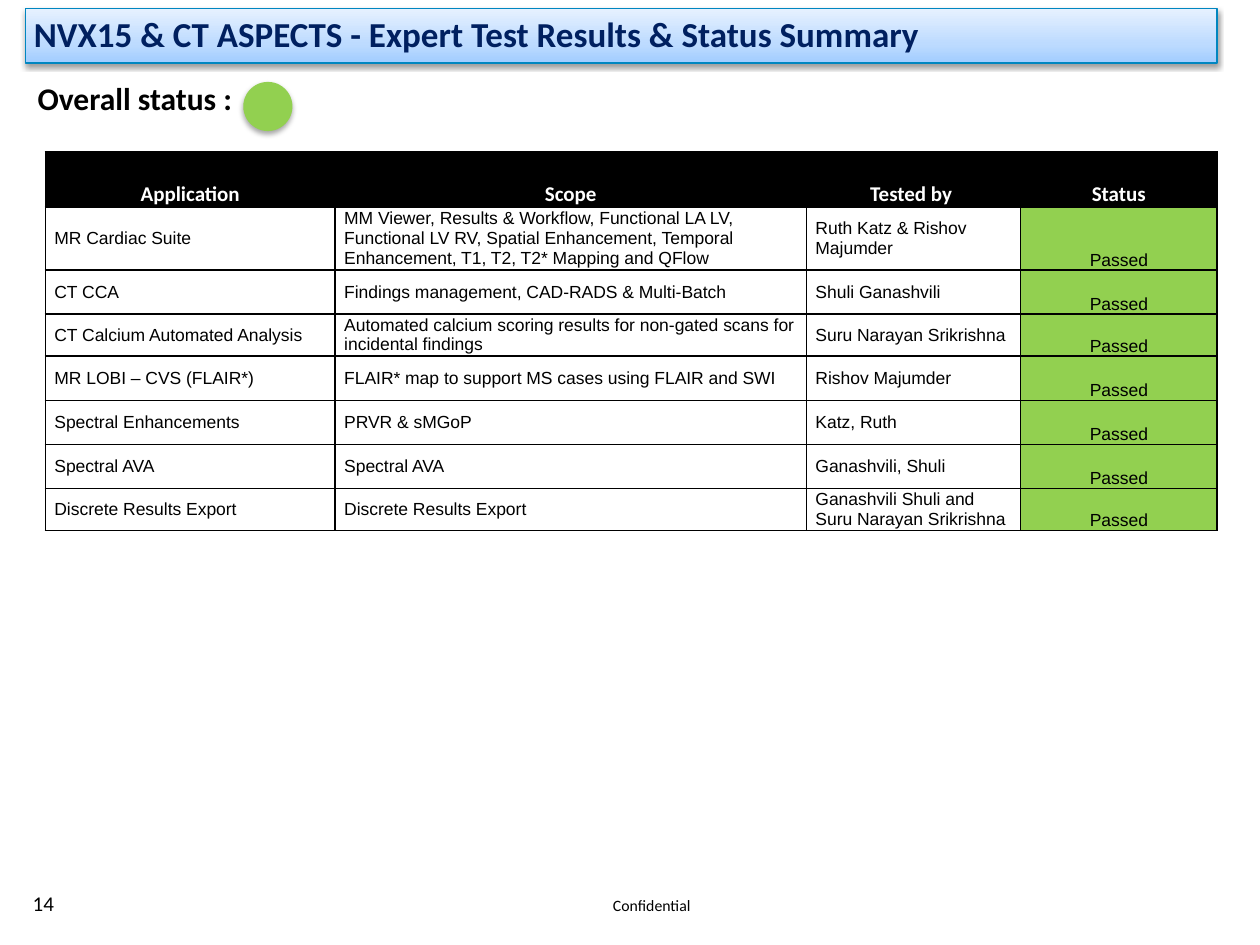
"""Build the expert test results and status summary slide."""
from copy import deepcopy

from pptx import Presentation
from pptx import util as u
from pptx import oxml as ox
from pptx.dml import color as c
from pptx.enum import shapes as sh, text as t
from pptx.oxml import ns

HUES = {"black": "000000", "white": "FFFFFF", "navy": "002060",
        "edge": "0086C0", "pass": "92D050",
        "low": "A2CDFF", "mid": "BDDBFF", "high": "E6F1FF"}
HEAD = ("Application", "Scope", "Tested by ", "Status")
TESTS = (
    ("MR Cardiac Suite", "MM Viewer, Results & Workflow, Functional LA LV, "
     "Functional LV RV, Spatial Enhancement, Temporal Enhancement, "
     "T1, T2, T2* Mapping and QFlow", "Ruth Katz & Rishov Majumder"),
    ("CT CCA", "Findings management, CAD-RADS & Multi-Batch",
     "Shuli Ganashvili"),
    ("CT Calcium Automated Analysis", "Automated calcium scoring results "
     "for non-gated scans for incidental findings", "Suru Narayan Srikrishna"),
    ("MR LOBI – CVS (FLAIR*)",
     "FLAIR* map to support MS cases using FLAIR and SWI", "Rishov Majumder"),
    ("Spectral Enhancements", "PRVR & sMGoP", "Katz, Ruth"),
    ("Spectral AVA", "Spectral AVA", "Ganashvili, Shuli"),
    ("Discrete Results Export", "Discrete Results Export",
     "Ganashvili Shuli and Suru Narayan Srikrishna"),
)
WIDTHS = (165.6, 269.3, 122.4, 112.3)
HEIGHTS = (31.5, 36, 25.2, 24, 25.2, 25.2, 25.2, 24)
MID, LOW = t.MSO_ANCHOR.MIDDLE, t.MSO_ANCHOR.BOTTOM
MID_CELL = {"vertical_anchor": MID}
LOW_CELL = {"vertical_anchor": LOW}
MID_PAR = {"alignment": t.PP_ALIGN.LEFT}
LOW_PAR = {"alignment": t.PP_ALIGN.CENTER, "line_spacing": 1.5}
BODY = {"name": "Arial", "size": u.Pt(10), "bold": False}
TOP = {"name": "Calibri", "size": u.Pt(12), "bold": True}


def put(obj, vals):
    """Set each named value on an object."""
    for key, val in vals.items():
        setattr(obj, key, val)


def rgb(hue):
    """Return the colour with the given name."""
    return c.RGBColor.from_string(HUES[hue])


def pad(obj, *gaps):
    """Set left, top, right and bottom margins in points."""
    for side, gap in zip(("left", "top", "right", "bottom"), gaps):
        setattr(obj, "margin_" + side, u.Pt(gap))


def write(frame, words, font, hue="black", par=MID_PAR):
    """Write one styled paragraph into a text frame."""
    line = frame.paragraphs[0]
    put(line, par)
    run = line.add_run()
    run.text = words
    put(run.font, font)
    run.font.color.rgb = rgb(hue)


def label(slide, box, words, font, gaps, wrap=True):
    """Add a text box."""
    frame = slide.shapes.add_textbox(*map(u.Pt, box)).text_frame
    frame.word_wrap = wrap
    pad(frame, *gaps)
    write(frame, words, font)


def shape(slide, kind, box, blur, drop, dim):
    """Add a preset shape with a soft shadow below it."""
    item = slide.shapes.add_shape(kind, *map(u.Pt, box))
    item.shadow.inherit = False
    item.element.spPr.find(ns.qn("a:effectLst")).append(ox.parse_xml(
        f'<a:outerShdw {ns.nsdecls("a")} blurRad="{u.Pt(blur)}" '
        f'dist="{u.Pt(drop)}" dir="5400000" rotWithShape="0">'
        f'<a:srgbClr val="{HUES["black"]}"><a:alpha val="{dim * 1000}"/>'
        '</a:srgbClr></a:outerShdw>'))
    return item


def banner(slide):
    """Add the title bar with its three-stop gradient."""
    bar = shape(slide, sh.MSO_SHAPE.RECTANGLE, (14.4, 5, 681.1, 31),
                3.1, 1.6, 38)
    bar.fill.gradient()
    bar.fill.gradient_angle = 90
    stops = bar.element.spPr.find(".//" + ns.qn("a:gsLst"))
    stops.insert(1, deepcopy(stops[0]))
    tints = (("low", 0), ("mid", 0.35), ("high", 1))
    for stop, (hue, pos) in zip(bar.fill.gradient_stops, tints):
        stop.color.rgb = rgb(hue)
        stop.position = pos
    bar.line.color.rgb = rgb("edge")
    bar.line.width = u.Pt(0.75)
    frame = bar.text_frame
    put(frame, {"word_wrap": True, "vertical_anchor": MID})
    pad(frame, 5, 5, 5, 5)
    write(frame, "NVX15 & CT ASPECTS - Expert Test Results & Status Summary",
          {**TOP, "size": u.Pt(20)}, "navy", {**MID_PAR, "line_spacing": 0.9})


def light(slide):
    """Add the overall status light."""
    dot = shape(slide, sh.MSO_SHAPE.OVAL, (139, 46.8, 28.1, 28.1),
                3.1, 1.8, 35)
    dot.fill.solid()
    dot.fill.fore_color.rgb = rgb("pass")
    dot.line.fill.background()


def edge(cell):
    """Draw a black border on all sides of a cell."""
    props = cell._tc.get_or_add_tcPr()
    for side in "LRTB":
        props.append(ox.parse_xml(
            f'<a:ln{side} {ns.nsdecls("a")} w="{u.Pt(1)}"><a:solidFill>'
            f'<a:srgbClr val="{HUES["black"]}"/></a:solidFill></a:ln{side}>'))


def fill(cell, words, font, hue, back, low):
    """Fill in one table cell."""
    edge(cell)
    put(cell, LOW_CELL if low else MID_CELL)
    pad(cell, *((0.7, 0.7, 0.7, 0) if low else (5.2, 0, 5.2, 0)))
    if back:
        cell.fill.solid()
        cell.fill.fore_color.rgb = rgb(back)
    else:
        cell.fill.background()
    write(cell.text_frame, words, font, hue, LOW_PAR if low else MID_PAR)


def table(slide):
    """Add the table of test results."""
    rows = (HEAD, *((*test, "Passed") for test in TESTS))
    box = (25.9, 86.7, sum(WIDTHS), sum(HEIGHTS))
    grid = slide.shapes.add_table(
        len(rows), len(HEAD), *map(u.Pt, box)).table
    put(grid, {"first_row": False, "horz_banding": False})
    for col, width in zip(grid.columns, WIDTHS):
        col.width = u.Pt(width)
    for row, height in zip(grid.rows, HEIGHTS):
        row.height = u.Pt(height)
    for i, row in enumerate(rows):
        for j, words in enumerate(row):
            cell, last = grid.cell(i, j), j == len(HEAD) - 1
            if i == 0:
                fill(cell, words, TOP, "white", "black", True)
            else:
                fill(cell, words, BODY, "black", "pass" if last else None,
                     last)


def main():
    """Build and save the slide."""
    deck = Presentation()
    put(deck, {"slide_width": u.Pt(720), "slide_height": u.Pt(540)})
    slide = deck.slides.add_slide(deck.slide_layouts[6])
    label(slide, (65.5, 511.9, 357.1, 10.8), "Confidential",
          {"name": "Calibri", "size": u.Pt(9)}, (284.8, 0, 0, 0))
    label(slide, (18.7, 509, 40.3, 14.4), "14",
          {"name": "Calibri", "size": u.Pt(12)}, (0, 0, 0, 0))
    banner(slide)
    label(slide, (14.4, 41.8, 126.7, 28.8), "Overall status :",
          {**TOP, "size": u.Pt(18)}, (7.2, 3.6, 7.2, 3.6), False)
    light(slide)
    table(slide)
    deck.save("out.pptx")


if __name__ == "__main__":
    main()
